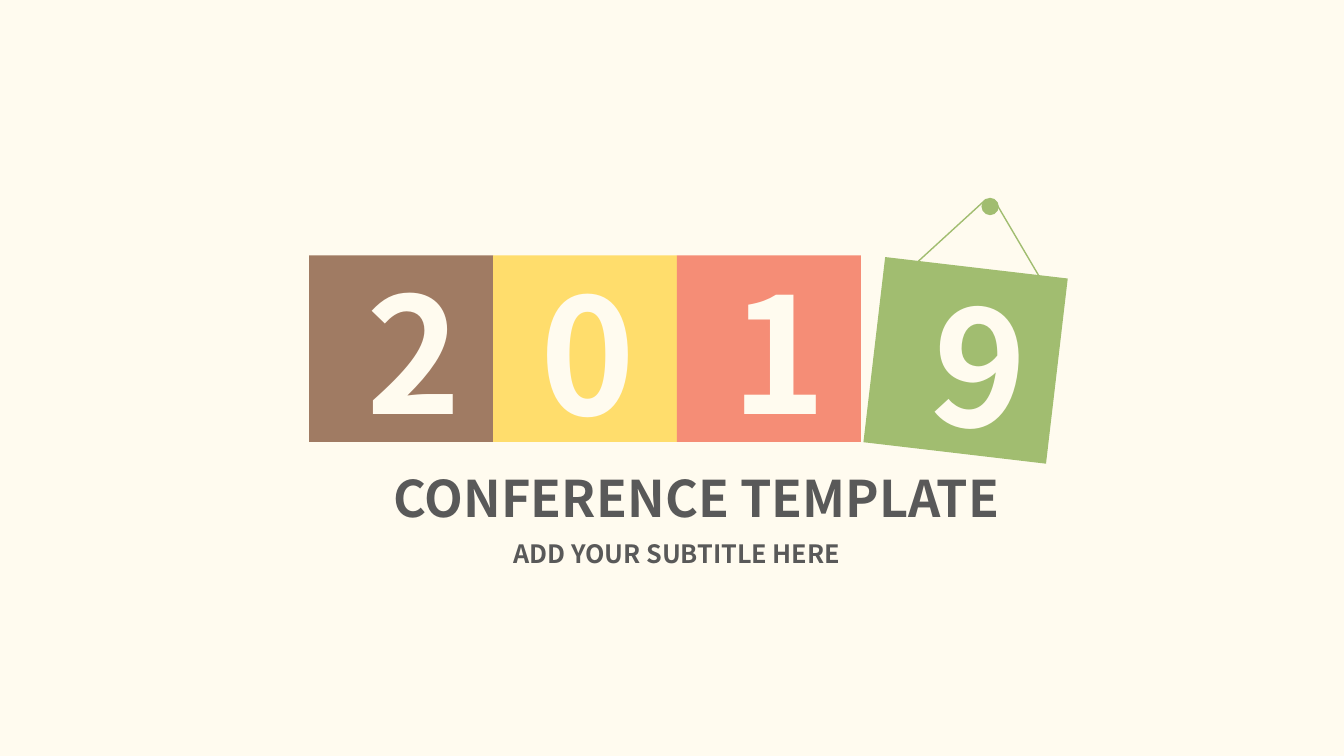
from pptx import Presentation
from pptx.dml.color import RGBColor
from pptx.enum.shapes import MSO_SHAPE
from pptx.enum.text import MSO_AUTO_SIZE, PP_ALIGN
from pptx.util import Pt

FONT = "Noto Sans CJK SC"
COLORS = {"cream": "FFFBEF", "brown": "A07B63", "yellow": "FFDD6C",
          "coral": "F58D76", "green": "A1BD70", "gray": "595959"}
TILE_W, TILE_H = 131.4, 133.2
ROW_X, ROW_Y = 221, 182.5
ROW = ["brown", "yellow", "coral"]
HUNG_TILE = (624.4, 190.8, 6.7)
DIGIT_W, DIGIT_H = 80, 145.4
DIGITS = [("2", 254.9, 177.7, 0), ("0", 379.3, 178, 0),
          ("1", 515.5, 177.7, 0), ("9", 658.8, 187, 6.2)]
TITLES = [("CONFERENCE TEMPLATE", (257.8, 329.8, 480, 50.4), 36),
          ("ADD YOUR SUBTITLE HERE", (333.6, 380.7, 300, 28.8), 18)]
NAIL = (701.4, 141.3, 12.4, 12.4)
STRING = [(644.6, 197.3), (704.4, 142.6), (710.8, 143.3), (750.2, 210.2)]


def rgb(name):
    return RGBColor.from_string(COLORS[name])


def add_filled(s, kind, box, color, rot=0):
    sp = s.shapes.add_shape(kind, *map(Pt, box))
    sp.shadow.inherit = False
    sp.fill.solid()
    sp.fill.fore_color.rgb = rgb(color)
    sp.line.fill.background()
    sp.rotation = rot


def add_text(s, text, box, size, color, rot=0):
    sp = s.shapes.add_textbox(*map(Pt, box))
    sp.rotation = rot
    tf = sp.text_frame
    tf.word_wrap = False
    tf.auto_size = MSO_AUTO_SIZE.SHAPE_TO_FIT_TEXT
    p = tf.paragraphs[0]
    p.alignment = PP_ALIGN.CENTER
    r = p.add_run()
    r.text = text
    r.font.name = FONT
    r.font.size = Pt(size)
    r.font.bold = True
    r.font.color.rgb = rgb(color)


def add_string(s):
    start, *rest = [(Pt(x), Pt(y)) for x, y in STRING]
    fb = s.shapes.build_freeform(*start)
    fb.add_line_segments(rest, close=False)
    sp = fb.convert_to_shape()
    sp.shadow.inherit = False
    sp.fill.background()
    sp.line.color.rgb = rgb("green")
    sp.line.width = Pt(1)


def main():
    """Build the cover slide with four year tiles and titles."""
    prs = Presentation()
    prs.slide_width, prs.slide_height = Pt(960.5), Pt(540)
    s = prs.slides.add_slide(prs.slide_layouts[6])
    s.background.fill.solid()
    s.background.fill.fore_color.rgb = rgb("cream")
    for i, color in enumerate(ROW):
        box = (ROW_X + i * TILE_W, ROW_Y, TILE_W, TILE_H)
        add_filled(s, MSO_SHAPE.RECTANGLE, box, color)
    x, y, rot = HUNG_TILE
    add_filled(s, MSO_SHAPE.RECTANGLE, (x, y, TILE_W, TILE_H), "green", rot)
    for digit, x, y, rot in DIGITS:
        add_text(s, digit, (x, y, DIGIT_W, DIGIT_H), 115, "cream", rot)
    for text, box, size in TITLES:
        add_text(s, text, box, size, "gray")
    add_filled(s, MSO_SHAPE.OVAL, NAIL, "green")
    add_string(s)
    prs.save("out.pptx")


if __name__ == "__main__":
    main()
